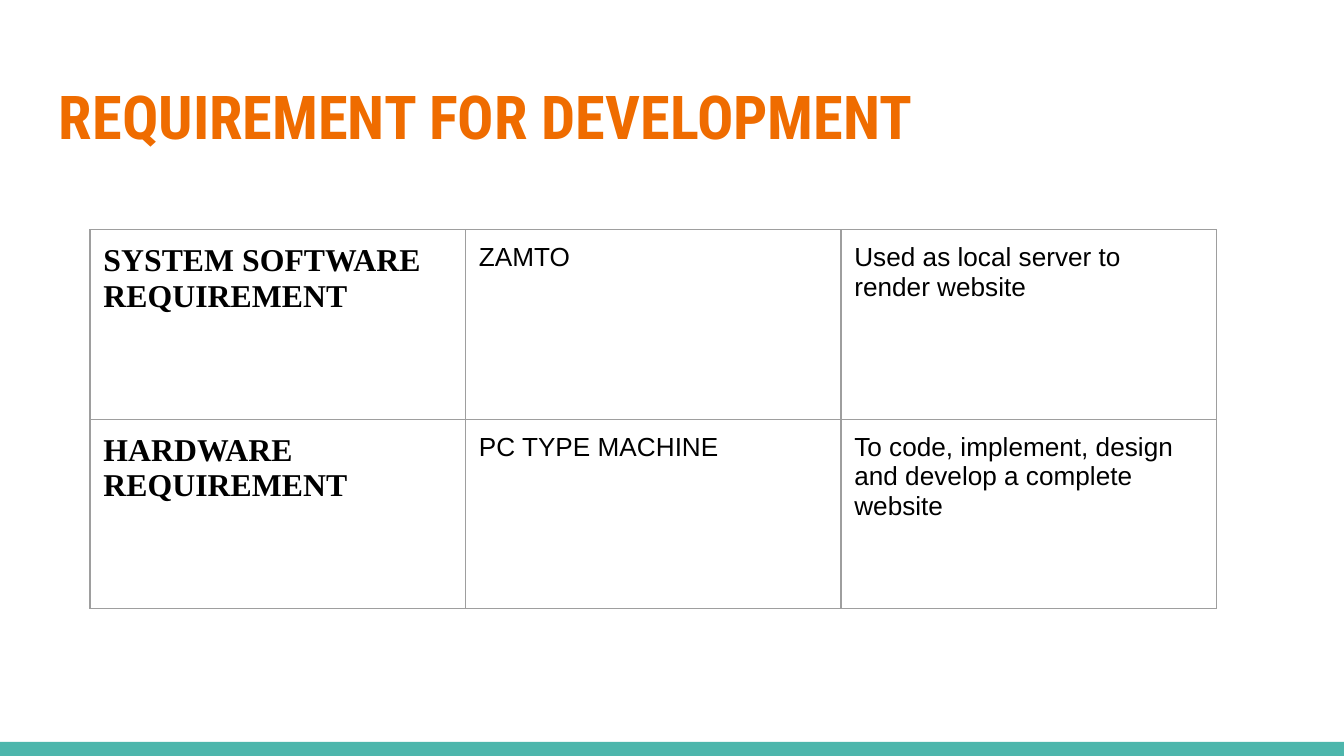
from dataclasses import dataclass

from lxml import etree
from pptx import Presentation
from pptx.dml.color import RGBColor
from pptx.enum import shapes, text
from pptx.oxml.ns import qn
from pptx.util import Inches, Pt


@dataclass
class Style:
    font: str
    size: float
    color: str
    bold: bool = False


TITLE = Style("Roboto Condensed", 32.4, "EF6C00", True)
HEAD = Style("Times New Roman", 17, "000000", True)
BODY = Style("Arial", 14, "000000")

ROWS = [
    ("SYSTEM SOFTWARE REQUIREMENT", "ZAMTO",
     "Used as local server to render website"),
    ("HARDWARE REQUIREMENT", "PC TYPE MACHINE",
     "To code, implement, design and develop a complete website"),
]
WIDE, ROW, PAD = 8.38, 1.41, 0.1


def rgb(code: str) -> RGBColor:
    return RGBColor.from_string(code)


def write(frame, words: str, style: Style) -> None:
    frame.word_wrap = True
    para = frame.paragraphs[0]
    para.text = words
    font = para.font
    font.name, font.size, font.bold = style.font, Pt(style.size), style.bold
    font.color.rgb = rgb(style.color)


def pad(box) -> None:
    box.margin_left = box.margin_right = Inches(PAD)
    box.margin_top = box.margin_bottom = Inches(PAD)


def border(cell, color: str, width: float) -> None:
    props = cell._tc.get_or_add_tcPr()
    for spot, side in enumerate(("lnL", "lnR", "lnT", "lnB")):
        line = etree.Element(qn(f"a:{side}"), w=str(Pt(width)))
        fill = etree.SubElement(line, qn("a:solidFill"))
        etree.SubElement(fill, qn("a:srgbClr"), val=color)
        props.insert(spot, line)


# Widescreen slide, 16:9
deck = Presentation()
deck.slide_width = Inches(10)
deck.slide_height = deck.slide_width * 9 // 16
slide = deck.slides.add_slide(deck.slide_layouts[6])

# Bottom band
top = Inches(5.52)
band = slide.shapes.add_shape(shapes.MSO_SHAPE.RECTANGLE, 0, top,
                              deck.slide_width, deck.slide_height - top)
band.shadow.inherit = False
band.fill.solid()
band.fill.fore_color.rgb = rgb("4DB6AC")
band.line.fill.background()

# Title
title = slide.shapes.add_textbox(Inches(0.34), Inches(0.49),
                                 Inches(9.32), Inches(0.77)).text_frame
pad(title)
title.vertical_anchor = text.MSO_ANCHOR.TOP
write(title, "REQUIREMENT FOR DEVELOPMENT", TITLE)

# Requirement table
count = len(ROWS[0])
grid = slide.shapes.add_table(len(ROWS), count, Inches(0.67), Inches(1.71),
                              Inches(WIDE),
                              Inches(ROW * len(ROWS))).table
grid.first_row = grid.horz_banding = False
for col in grid.columns:
    col.width = Inches(WIDE / count)
for row, words in zip(grid.rows, ROWS):
    row.height = Inches(ROW)
    for index, cell in enumerate(row.cells):
        pad(cell)
        cell.fill.background()
        border(cell, "9E9E9E", 0.75)
        write(cell.text_frame, words[index], BODY if index else HEAD)

deck.save("out.pptx")
